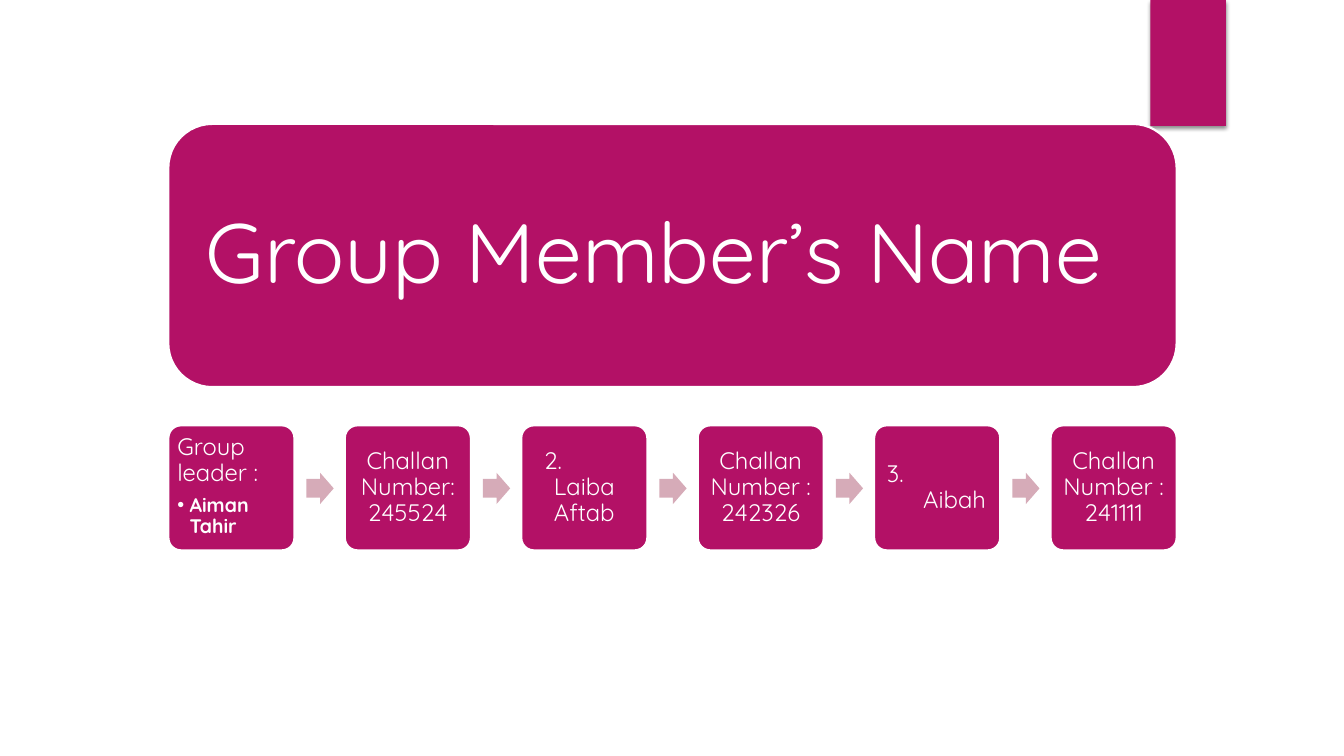
"""Build the group members slide: a title panel above a row of linked cards."""
from dataclasses import dataclass

from lxml import etree
from pptx import Presentation
from pptx import util as u
from pptx.dml import color
from pptx.enum import shapes, text
from pptx.oxml import ns

MAGENTA, PINK, WHITE = "B31166", "D6ABB8", "FFFFFF"
FONT = "Quicksand"
CENTER, LEFT = text.PP_ALIGN.CENTER, text.PP_ALIGN.LEFT
FIRST_LEFT, STEP = 1.67, 1.75
CARD_TOP, CARD_WIDTH, CARD_HEIGHT = 4.22, 1.25, 1.24


@dataclass
class Line:
    wording: str
    size: float = 17
    align: text.PP_ALIGN = CENTER
    margin: float = 0
    bold: bool = False
    after: float = 0
    bullet: bool = False


@dataclass
class Box:
    left: float
    top: float
    width: float
    height: float


LEADER = [Line("Group leader :", align=LEFT, after=6),
          Line("Aiman Tahir", 14, LEFT, 0.12, bold=True, bullet=True)]
CARDS = [
    [],
    [Line("Challan Number: 245524")],
    [Line("2.", align=LEFT, margin=0.12), Line("Laiba Aftab")],
    [Line("Challan Number : 242326")],
    [Line("3.", align=LEFT, margin=0.02), Line("Aibah", align=LEFT, margin=0.38)],
    [Line("Challan Number : 241111")],
]


def rgb(code: str) -> color.RGBColor:
    return color.RGBColor.from_string(code)


def place(item, box: Box) -> None:
    item.left, item.top = u.Inches(box.left), u.Inches(box.top)
    item.width, item.height = u.Inches(box.width), u.Inches(box.height)


def add_block(slide, kind, box: Box, fill: str, outline: str = "", adjust=()):
    block = slide.shapes.add_shape(kind, 0, 0, 0, 0)
    place(block, box)
    block.shadow.inherit = False
    block.fill.solid()
    block.fill.fore_color.rgb = rgb(fill)
    if outline:
        block.line.color.rgb = rgb(outline)
        block.line.width = u.Pt(1.5)
    else:
        block.line.fill.background()
    for index, value in enumerate(adjust):
        block.adjustments[index] = value
    return block


def write(frame, lines: list[Line], inset: float, anchor) -> None:
    frame.word_wrap = True
    frame.auto_size = text.MSO_AUTO_SIZE.NONE
    frame.vertical_anchor = anchor
    frame.margin_left = frame.margin_right = u.Inches(inset)
    frame.margin_top = frame.margin_bottom = u.Inches(inset)
    frame.text = "\n".join(line.wording for line in lines)
    for paragraph, line in zip(frame.paragraphs, lines):
        paragraph.alignment = line.align
        paragraph.line_spacing = 0.9
        paragraph.space_before = u.Pt(0)
        paragraph.space_after = u.Pt(line.after)
        paragraph.level = int(line.bullet)
        properties = paragraph._p.get_or_add_pPr()
        properties.set("marL", str(u.Inches(line.margin)))
        properties.set("indent", str(-u.Inches(line.margin) if line.bullet else 0))
        if line.bullet:
            etree.SubElement(properties, ns.qn("a:buChar"), char="•")
        else:
            etree.SubElement(properties, ns.qn("a:buNone"))
        for run in paragraph.runs:
            run.font.name = FONT
            run.font.size = u.Pt(line.size)
            run.font.bold = line.bold
            run.font.color.rgb = rgb(WHITE)


def cast_shadow(block) -> None:
    effects = block._element.spPr.find(ns.qn("a:effectLst"))
    shadow = etree.SubElement(effects, ns.qn("a:outerShdw"), blurRad=str(u.Pt(3)),
                              dist=str(u.Pt(2)), dir="5400000", rotWithShape="0")
    tint = etree.SubElement(shadow, ns.qn("a:srgbClr"), val="000000")
    etree.SubElement(tint, ns.qn("a:alpha"), val="45000")


def fill_placeholder(holder, box: Box, lines: list[Line], inset: float, anchor) -> None:
    place(holder, box)
    write(holder.text_frame, lines, inset, anchor)
    holder.element.getparent().append(holder.element)


def main() -> None:
    deck = Presentation()
    deck.slide_width, deck.slide_height = u.Inches(13.33), u.Inches(7.5)
    slide = deck.slides.add_slide(deck.slide_layouts[1])
    title, leader = slide.shapes.title, slide.placeholders[1]
    rounded = shapes.MSO_SHAPE.ROUNDED_RECTANGLE
    middle, top = text.MSO_ANCHOR.MIDDLE, text.MSO_ANCHOR.TOP

    corner_tab = add_block(slide, shapes.MSO_SHAPE.RECTANGLE,
                           Box(11.41, 0, 0.75, 1.25), MAGENTA)
    cast_shadow(corner_tab)

    add_block(slide, rounded, Box(FIRST_LEFT, 1.23, 10, 2.61), MAGENTA, WHITE)
    fill_placeholder(title, Box(1.79, 1.36, 9.75, 2.36),
                     [Line("Group Member’s Name", 60, LEFT)], 0.25, middle)

    for index, lines in enumerate(CARDS):
        left = FIRST_LEFT + index * STEP
        card = add_block(slide, rounded, Box(left, CARD_TOP, CARD_WIDTH, CARD_HEIGHT),
                         MAGENTA, WHITE, (0.1,))
        if lines:
            write(card.text_frame, lines, 0.07, middle)
        if index < len(CARDS) - 1:
            add_block(slide, shapes.MSO_SHAPE.RIGHT_ARROW,
                      Box(left + 1.37, 4.69, 0.27, 0.31), PINK, adjust=(0.6, 0.5))
    fill_placeholder(leader, Box(1.7, 4.26, 1.18, 1.17), LEADER, 0.06, top)

    deck.save("out.pptx")


if __name__ == "__main__":
    main()
